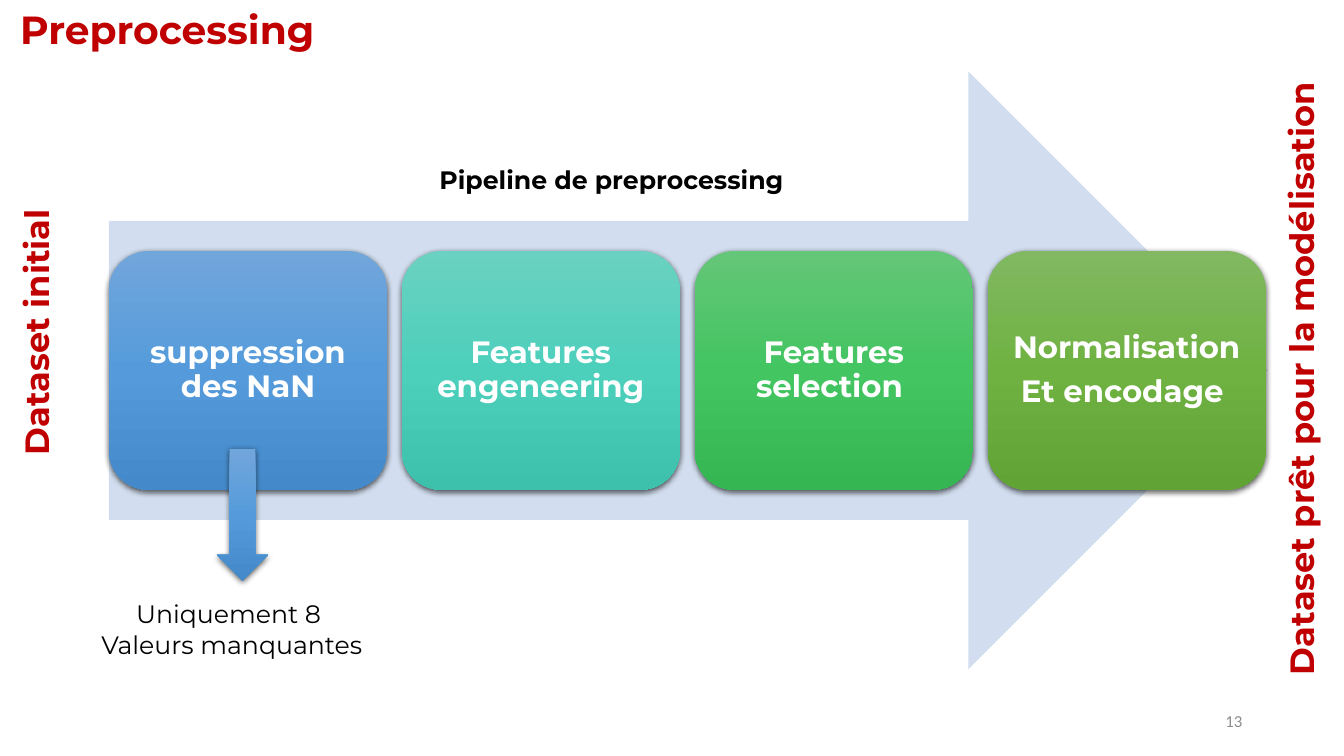
from copy import deepcopy

from lxml import etree
from pptx import Presentation
from pptx import util as u
from pptx.dml.color import RGBColor
from pptx.enum import shapes, text
from pptx.oxml.ns import qn

RED, BLACK, WHITE, GREY = "C00000", "000000", "FFFFFF", "8C8C8C"
BLUE = ("71A6DB", "559BDB", "448ACA")
STEPS = [
    ("suppression des NaN", BLUE),
    ("Features engeneering", ("6BD1C0", "4CD0BC", "3DC0AC")),
    ("Features selection ", ("64C678", "43C561", "35B652")),
    ("Normalisation\nEt encodage ", ("81B861", "6FB242", "62A336")),
]
LEFT, CENTER, RIGHT = text.PP_ALIGN.LEFT, text.PP_ALIGN.CENTER, text.PP_ALIGN.RIGHT


def rgb(color):
    return RGBColor.from_string(color)


def place(sp, x, y, w, h):
    sp.left, sp.top, sp.width, sp.height = (u.Inches(v) for v in (x, y, w, h))


def write(sp, words, size, color, bold=True, align=LEFT, font="Montserrat",
          anchor=text.MSO_ANCHOR.TOP):
    tf = sp.text_frame
    tf.word_wrap = True
    tf.auto_size = text.MSO_AUTO_SIZE.NONE
    tf.vertical_anchor = anchor
    tf.text = words
    for p in tf.paragraphs:
        p.alignment = align
        for r in p.runs:
            r.font.name, r.font.size, r.font.bold = font, u.Pt(size), bold
            r.font.color.rgb = rgb(color)


def add_label(s, words, box, size, color, rotation=0, **style):
    sp = s.shapes.add_textbox(*(u.Inches(v) for v in box))
    sp.rotation = rotation
    write(sp, words, size, color, **style)


def add_plain(s, kind, box):
    sp = s.shapes.add_shape(kind, *(u.Inches(v) for v in box))
    sp.shadow.inherit = False
    sp.line.fill.background()
    return sp


def add_glossy(s, kind, box, colors):
    sp = add_plain(s, kind, box)
    sp.fill.gradient()
    sp.fill.gradient_angle = 270
    stops = sp._element.spPr.find(".//" + qn("a:gsLst"))
    stops.insert(1, deepcopy(stops[0]))
    for stop, color, position in zip(sp.fill.gradient_stops, colors, (0, 0.5, 1)):
        stop.color.rgb = rgb(color)
        stop.position = position
    effects = sp._element.spPr.find(qn("a:effectLst"))
    shadow = etree.SubElement(effects, qn("a:outerShdw"), blurRad=str(u.Pt(4.5)),
                              dist=str(u.Pt(1.5)), dir="5400000", algn="ctr",
                              rotWithShape="0")
    shade = etree.SubElement(shadow, qn("a:srgbClr"), val=BLACK)
    etree.SubElement(shade, qn("a:alpha"), val="63000")
    return sp


def add_step(s, index, words, colors):
    box = (1.08 + index * 2.905, 2.49, 2.76, 2.37)
    sp = add_glossy(s, shapes.MSO_SHAPE.ROUNDED_RECTANGLE, box, colors)
    write(sp, words, 22, WHITE, align=CENTER, anchor=text.MSO_ANCHOR.MIDDLE)
    for p in sp.text_frame.paragraphs:
        p.line_spacing = 0.9
        p.space_after = u.Pt(7.7)


def main():
    prs = Presentation()
    prs.slide_width, prs.slide_height = u.Inches(13.33), u.Inches(7.5)
    s = prs.slides.add_slide(prs.slide_layouts[5])

    title = s.shapes.title
    place(title, 0.1, 0, 6.67, 0.57)
    write(title, "Preprocessing", 28, RED)

    arrow = add_plain(s, shapes.MSO_SHAPE.RIGHT_ARROW, (1.08, 0.71, 11.49, 5.93))
    arrow.fill.solid()
    arrow.fill.fore_color.rgb = rgb("D2DEEF")
    for index, (words, colors) in enumerate(STEPS):
        add_step(s, index, words, colors)

    add_label(s, "Dataset initial", (-1.75, 2.26, 4.21, 0.5), 24, RED, 270)
    add_label(s, "Pipeline de preprocessing", (4.26, 1.58, 4.95, 0.4), 18, BLACK)
    add_label(s, "Dataset prêt pour la modélisation", (9.69, 3.33, 6.43, 0.5),
              24, RED, 270)
    add_glossy(s, shapes.MSO_SHAPE.DOWN_ARROW, (2.15, 4.45, 0.51, 1.31), BLUE)
    add_label(s, "Uniquement 8 \nValeurs manquantes", (-1.04, 5.89, 6.68, 0.71),
              18, BLACK, bold=False, align=CENTER)
    add_label(s, "13", (9.42, 6.95, 3, 0.4), 12, GREY, bold=False, align=RIGHT,
              font="Calibri", anchor=text.MSO_ANCHOR.MIDDLE)
    prs.save("out.pptx")


if __name__ == "__main__":
    main()
